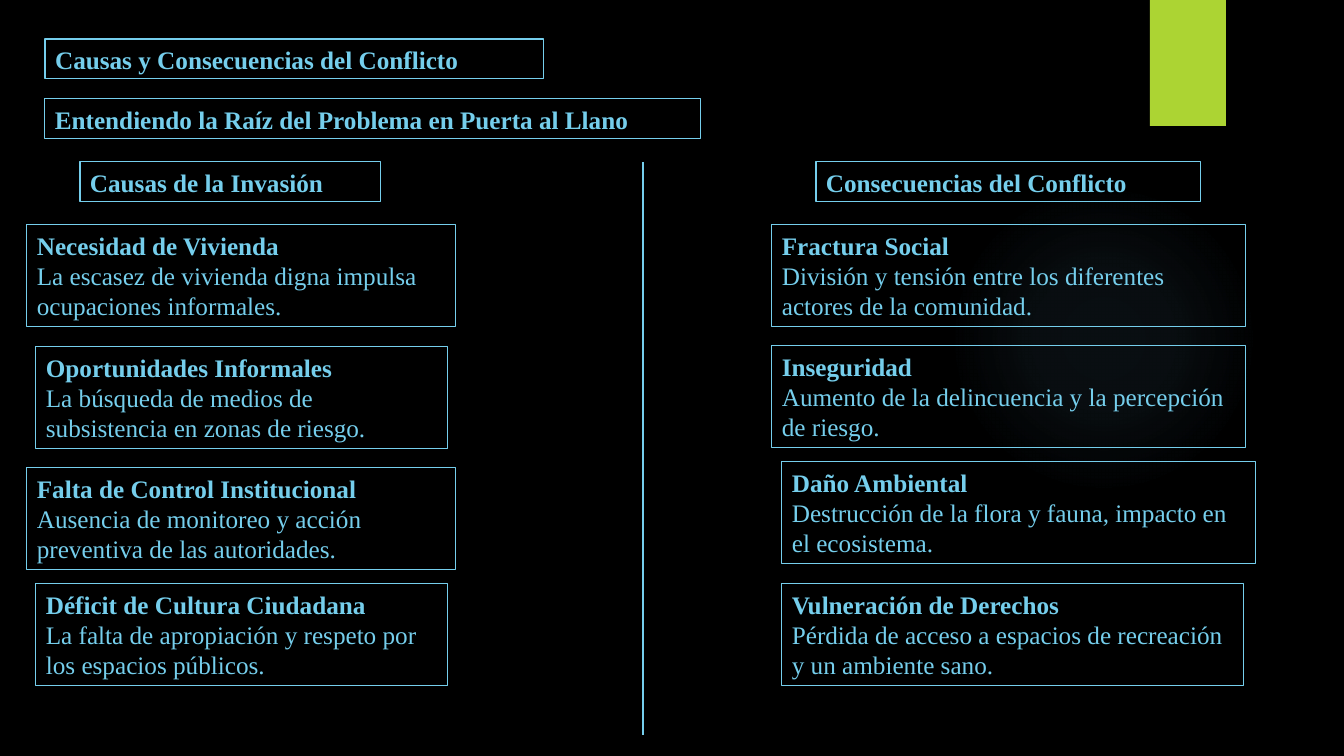
from lxml import etree
from pptx import Presentation
from pptx.dml.color import RGBColor
from pptx.enum.shapes import MSO_CONNECTOR, MSO_SHAPE
from pptx.enum.text import MSO_ANCHOR, MSO_AUTO_SIZE, PP_ALIGN
from pptx.oxml import parse_xml
from pptx.oxml.ns import nsdecls, qn
from pptx.util import Emu, Pt

PX = 914400 / 100.8
SKY, LIME, GLOW, BLACK = "75CEEC", "ACD433", "7AC4F0", "000000"
FONT = "Times New Roman"
HEAD_H, CARD_H = 40, 102

CAUSES = [
    (0, 63, 429, "Necesidad de Vivienda",
     "La escasez de vivienda digna impulsa ocupaciones informales."),
    (9, 185, 412, "Oportunidades Informales",
     "La búsqueda de medios de subsistencia en zonas de riesgo."),
    (0, 306, 429, "Falta de Control Institucional",
     "Ausencia de monitoreo y acción preventiva de las autoridades."),
    (9, 422, 412, "Déficit de Cultura Ciudadana",
     "La falta de apropiación y respeto por los espacios públicos."),
]
CONSEQUENCES = [
    (0, 63, 474, "Fractura Social",
     "División y tensión entre los diferentes actores de la comunidad."),
    (0, 184, 474, "Inseguridad",
     "Aumento de la delincuencia y la percepción de riesgo."),
    (10, 300, 474, "Daño Ambiental",
     "Destrucción de la flora y fauna, impacto en el ecosistema."),
    (10, 422, 462, "Vulneración de Derechos",
     "Pérdida de acceso a espacios de recreación y un ambiente sano."),
]


def px(*lengths):
    """Turn pixel lengths into EMU."""
    return [Emu(round(n * PX)) for n in lengths]


def color(value):
    """Turn a hex string into a colour."""
    return RGBColor.from_string(value)


def add_text(tf, text, first=False, size=18, bold=False, fill=SKY):
    """Write one formatted paragraph into a text frame."""
    p = tf.paragraphs[0] if first else tf.add_paragraph()
    p.alignment = PP_ALIGN.LEFT
    r = p.add_run()
    r.text = text
    r.font.name, r.font.size, r.font.bold = FONT, Pt(size), bold
    r.font.color.rgb = color(fill)


def framed_box(sp, box, heading, detail=None, fit=MSO_AUTO_SIZE.SHAPE_TO_FIT_TEXT):
    """Place a thin-framed text shape with a bold heading and optional detail."""
    sp.left, sp.top, sp.width, sp.height = px(*box)
    sp.line.color.rgb = color(SKY)
    sp.line.width = Pt(0.75)
    tf = sp.text_frame
    tf.word_wrap = True
    tf.auto_size = fit
    tf.vertical_anchor = MSO_ANCHOR.TOP
    add_text(tf, heading, first=True, bold=True)
    if detail:
        add_text(tf, detail)


def new_box(s):
    """Add an empty text box."""
    return s.shapes.add_textbox(0, 0, 0, 0)


def decoration(s):
    """Draw the soft glow and the lime tab with its shadow."""
    glow = s.shapes.add_shape(MSO_SHAPE.OVAL, *px(949, 184, 310, 310))
    glow.shadow.inherit = False
    glow.line.fill.background()
    stops = "".join(
        f'<a:gs pos="{pos}000"><a:srgbClr val="{GLOW}"><a:alpha val="{alpha}000"/>'
        "</a:srgbClr></a:gs>" for pos, alpha in ((0, 7), (36, 6), (69, 0)))
    glow.element.spPr.find(qn("a:prstGeom")).addnext(parse_xml(
        f'<a:gradFill {nsdecls("a")}><a:gsLst>{stops}</a:gsLst><a:path path="circle">'
        '<a:fillToRect l="50000" t="50000" r="50000" b="50000"/></a:path></a:gradFill>'))

    tab = s.shapes.add_shape(MSO_SHAPE.RECTANGLE, *px(1150, 0, 76, 126))
    tab.shadow.inherit = False
    tab.fill.solid()
    tab.fill.fore_color.rgb = color(LIME)
    tab.line.fill.background()
    tab.element.spPr.find(qn("a:effectLst")).append(parse_xml(
        f'<a:outerShdw {nsdecls("a")} blurRad="{Pt(3)}" dist="{Pt(2)}" dir="5400000">'
        f'<a:srgbClr val="{BLACK}"><a:alpha val="45000"/></a:srgbClr></a:outerShdw>'))


def header(s, x, y):
    """Place the title, at a fixed height, and the subtitle."""
    framed_box(s.shapes.title, (x, y, 499, HEAD_H),
               "Causas y Consecuencias del Conflicto", fit=MSO_AUTO_SIZE.NONE)
    framed_box(new_box(s), (x, y + 60, 656, HEAD_H),
               "Entendiendo la Raíz del Problema en Puerta al Llano")


def column(s, x, y, heading, indent, width, cards):
    """Place a column heading and the cards under it."""
    framed_box(new_box(s), (x + indent, y, width, HEAD_H), heading)
    for dx, dy, w, name, detail in cards:
        framed_box(new_box(s), (x + dx, y + dy, w, CARD_H), name, detail)


def divider(s, x, top, bottom):
    """Draw the vertical line between the columns."""
    line = s.shapes.add_connector(MSO_CONNECTOR.STRAIGHT, *px(x, top, x, bottom))
    line.line.color.rgb = color(SKY)
    line.line.width = Pt(1.5)
    etree.SubElement(line.element.spPr, qn("a:effectLst"))


def main():
    """Build and save the slide."""
    prs = Presentation()
    prs.slide_width, prs.slide_height = px(1344, 756)
    s = prs.slides.add_slide(prs.slide_layouts[5])
    s.background.fill.solid()
    s.background.fill.fore_color.rgb = color(BLACK)
    decoration(s)
    header(s, 45, 39)
    column(s, 27, 162, "Causas de la Invasión", 53, 301, CAUSES)
    column(s, 772, 162, "Consecuencias del Conflicto", 44, 385, CONSEQUENCES)
    divider(s, 643, 162, 735)
    prs.save("out.pptx")


if __name__ == "__main__":
    main()
